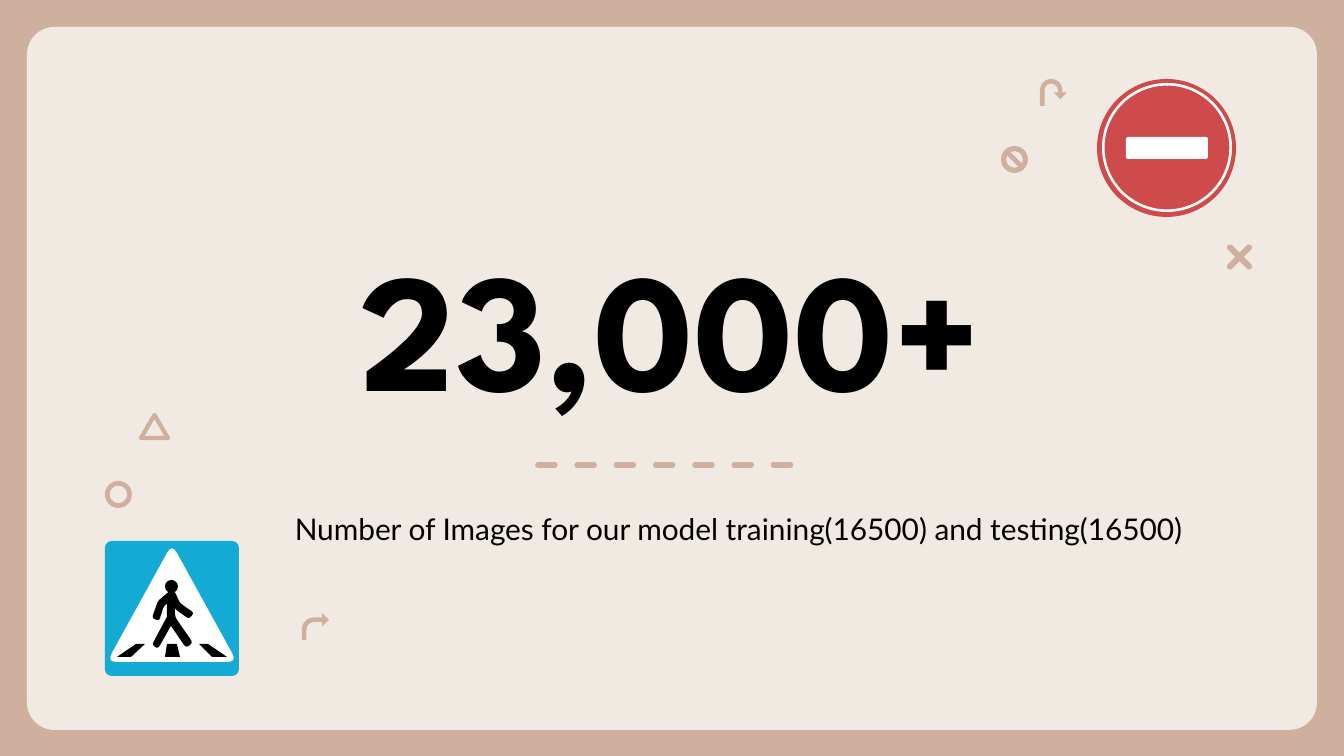
"""Build the key-figure slide with its road-sign decorations."""
from dataclasses import dataclass

from lxml import etree
from pptx import Presentation
from pptx.dml.color import RGBColor
from pptx.enum.dml import MSO_LINE
from pptx.enum.shapes import MSO_CONNECTOR, MSO_SHAPE
from pptx.enum.text import MSO_ANCHOR, MSO_AUTO_SIZE, PP_ALIGN
from pptx.oxml.ns import qn
from pptx.util import Emu, Pt

PX = 914400 / 134.4
COLORS = {"tan": "CFAF9E", "cream": "F1EAE2", "black": "000000",
          "white": "FFFFFF", "blue": "13ABD4", "red": "CD4B4B"}
ROUND_RECT = MSO_SHAPE.ROUNDED_RECTANGLE
OVAL = MSO_SHAPE.OVAL
DONUT = MSO_SHAPE.DONUT
BENT_ARROW = MSO_SHAPE.BENT_ARROW
U_TURN = MSO_SHAPE.U_TURN_ARROW
NO_SYMBOL = MSO_SHAPE.NO_SYMBOL
TRIANGLE = MSO_SHAPE.ISOSCELES_TRIANGLE
STRAIGHT = MSO_CONNECTOR.STRAIGHT
DASH = MSO_LINE.DASH
TOP, BOTTOM = MSO_ANCHOR.TOP, MSO_ANCHOR.BOTTOM
CENTER = PP_ALIGN.CENTER
NO_AUTOFIT = MSO_AUTO_SIZE.NONE
CURVE_STEPS = 4


@dataclass(frozen=True)
class Preset:
    kind: MSO_SHAPE
    box: tuple[int, int, int, int]
    color: str
    adj: tuple[float, ...] = ()
    rotation: int = 0
    outline: float = 0


@dataclass(frozen=True)
class Outline:
    points: tuple[tuple[int, int], ...]
    color: str
    corner: int = 0


PANEL = Preset(ROUND_RECT, (27, 27, 1290, 703), "cream", (0.039,))
ICONS = [
    Preset(DONUT, (105, 481, 27, 27), "tan", (0.17,)),
    Preset(BENT_ARROW, (302, 613, 27, 27), "tan", (0.17, 0.25, 0.25, 0.44)),
    Preset(ROUND_RECT, (1223, 254, 33, 6), "tan", (0.5,), 45),
    Preset(ROUND_RECT, (1223, 254, 33, 6), "tan", (0.5,), 315),
    Preset(U_TURN, (1040, 79, 27, 27), "tan", (0.17, 0.25, 0.25, 0.44, 0.75)),
    Preset(NO_SYMBOL, (1001, 146, 27, 27), "tan", (0.19,)),
    Preset(TRIANGLE, (141, 415, 27, 23), "tan", outline=2.25),
]
CROSSING_SIGN = [
    Preset(ROUND_RECT, (105, 541, 134, 135), "blue", (0.05,)),
    Outline(((172, 544), (107, 662), (237, 662)), "white", 10),
    Preset(OVAL, (165, 580, 13, 13), "black"),
    Outline(((167, 594), (175, 594), (175, 617), (193, 643), (186, 648),
             (167, 620)), "black", 4),
    Outline(((171, 590), (158, 601), (152, 618), (159, 621), (164, 606),
             (171, 601), (175, 609), (189, 619), (194, 613), (180, 603),
             (175, 592)), "black", 3),
    Outline(((169, 613), (152, 645), (158, 649), (176, 617)), "black", 4),
    Outline(((136, 644), (145, 644), (131, 657), (117, 657)), "black"),
    Outline(((167, 644), (177, 644), (180, 657), (165, 657)), "black"),
    Outline(((199, 644), (208, 644), (227, 657), (212, 657)), "black"),
]
NO_ENTRY_SIGN = [
    Preset(OVAL, (1097, 79, 139, 138), "red"),
    Preset(ROUND_RECT, (1126, 137, 82, 22), "white", (0.1,)),
    Preset(DONUT, (1102, 83, 130, 129), "white", (0.02,)),
]


def px(value: float) -> Emu:
    """Convert pixels to EMU."""
    return Emu(round(value * PX))


def rgb(name: str) -> RGBColor:
    """Look up a named colour."""
    return RGBColor.from_string(COLORS[name])


def paint(sp, color: str) -> None:
    """Give a shape a plain fill without line or shadow."""
    sp.shadow.inherit = False
    sp.fill.solid()
    sp.fill.fore_color.rgb = rgb(color)
    sp.line.fill.background()


def add_preset(slide, item: Preset):
    """Draw a preset shape, filled or outlined."""
    sp = slide.shapes.add_shape(item.kind, *map(px, item.box))
    paint(sp, item.color)
    sp.rotation = item.rotation
    for i, value in enumerate(item.adj):
        sp.adjustments[i] = value
    if item.outline:
        sp.fill.background()
        sp.line.color.rgb = rgb(item.color)
        sp.line.width = Pt(item.outline)
        etree.SubElement(sp._element.spPr.get_or_add_ln(), qn("a:round"))
    return sp


def round_corners(item: Outline) -> list[tuple[float, float]]:
    """Replace each corner of an outline by a sampled quadratic curve."""
    if not item.corner:
        return list(item.points)
    result = []
    count = len(item.points)
    for i, (x, y) in enumerate(item.points):
        ends = []
        for nx, ny in (item.points[i - 1], item.points[(i + 1) % count]):
            length = ((nx - x) ** 2 + (ny - y) ** 2) ** 0.5
            share = min(item.corner / length, 0.5)
            ends.append((x + (nx - x) * share, y + (ny - y) * share))
        (ax, ay), (bx, by) = ends
        for step in range(CURVE_STEPS + 1):
            t = step / CURVE_STEPS
            a, b, c = (1 - t) ** 2, 2 * t * (1 - t), t ** 2
            result.append((a * ax + b * x + c * bx, a * ay + b * y + c * by))
    return result


def add_outline(slide, item: Outline) -> None:
    """Draw a filled closed outline."""
    start, *rest = [(px(x), px(y)) for x, y in round_corners(item)]
    builder = slide.shapes.build_freeform(*start, scale=1.0)
    builder.add_line_segments(rest, close=True)
    paint(builder.convert_to_shape(), item.color)


def add_dashes(slide, x1: int, x2: int, y: int) -> None:
    """Draw the dashed divider with round caps."""
    sp = slide.shapes.add_connector(STRAIGHT, px(x1), px(y), px(x2), px(y))
    sp.line.color.rgb = rgb("tan")
    sp.line.width = Pt(3)
    sp.line.dash_style = DASH
    sp._element.spPr.get_or_add_ln().set("cap", "rnd")
    etree.SubElement(sp._element.spPr, qn("a:effectLst"))


def set_text(sp, text: str, anchor: MSO_ANCHOR, spacing: float, font: dict) -> None:
    """Write one centred paragraph into a shape."""
    tf = sp.text_frame
    frame = {"word_wrap": True, "auto_size": NO_AUTOFIT, "vertical_anchor": anchor}
    for side in ("left", "top", "right", "bottom"):
        frame[f"margin_{side}"] = px(13)
    for name, value in frame.items():
        setattr(tf, name, value)
    p = tf.paragraphs[0]
    p.alignment = CENTER
    p.line_spacing = spacing
    r = p.add_run()
    r.text = text
    for name, value in font.items():
        setattr(r.font, name, value)
    r.font.color.rgb = rgb("black")


def main() -> None:
    """Assemble and save the slide."""
    prs = Presentation()
    prs.slide_width, prs.slide_height = px(1344), px(756)
    slide = prs.slides.add_slide(prs.slide_layouts[5])
    slide.background.fill.solid()
    slide.background.fill.fore_color.rgb = rgb("tan")

    panel = add_preset(slide, PANEL)
    title = slide.shapes.title
    title._element.addprevious(panel._element)
    title.left, title.top, title.width, title.height = map(px, (168, 196, 1008, 242))
    set_text(title, "23,000+", BOTTOM, 1.0,
             {"name": "League Spartan", "size": Pt(90), "bold": True})
    caption = slide.shapes.add_textbox(*map(px, (235, 492, 1008, 67)))
    set_text(caption, "Number of Images for our model training(16500) and testing(16500)",
             TOP, 1.15, {"name": "Lato", "size": Pt(16)})

    add_dashes(slide, 538, 806, 465)
    for item in ICONS + CROSSING_SIGN + NO_ENTRY_SIGN:
        draw = add_preset if isinstance(item, Preset) else add_outline
        draw(slide, item)
    prs.save("out.pptx")


if __name__ == "__main__":
    main()
